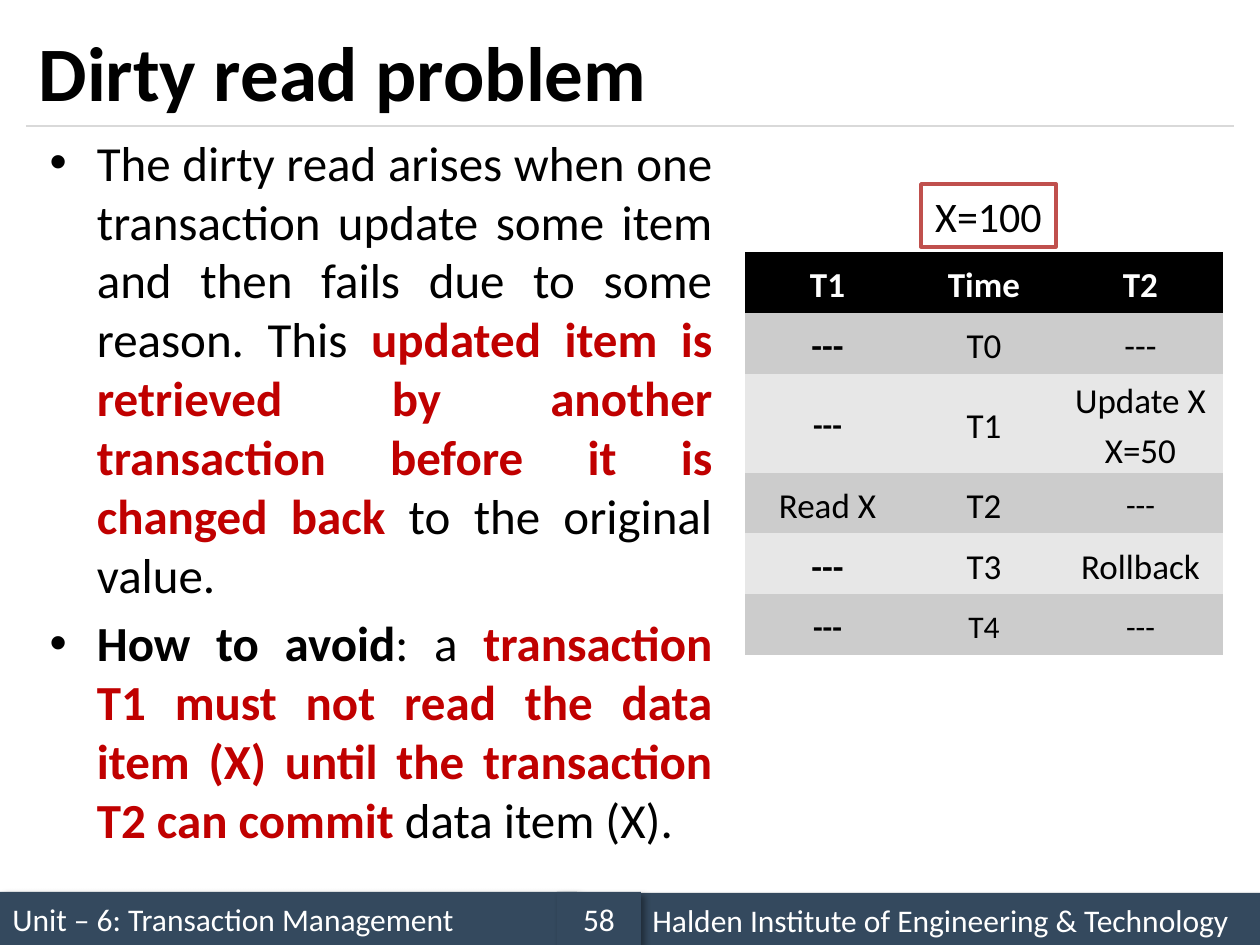
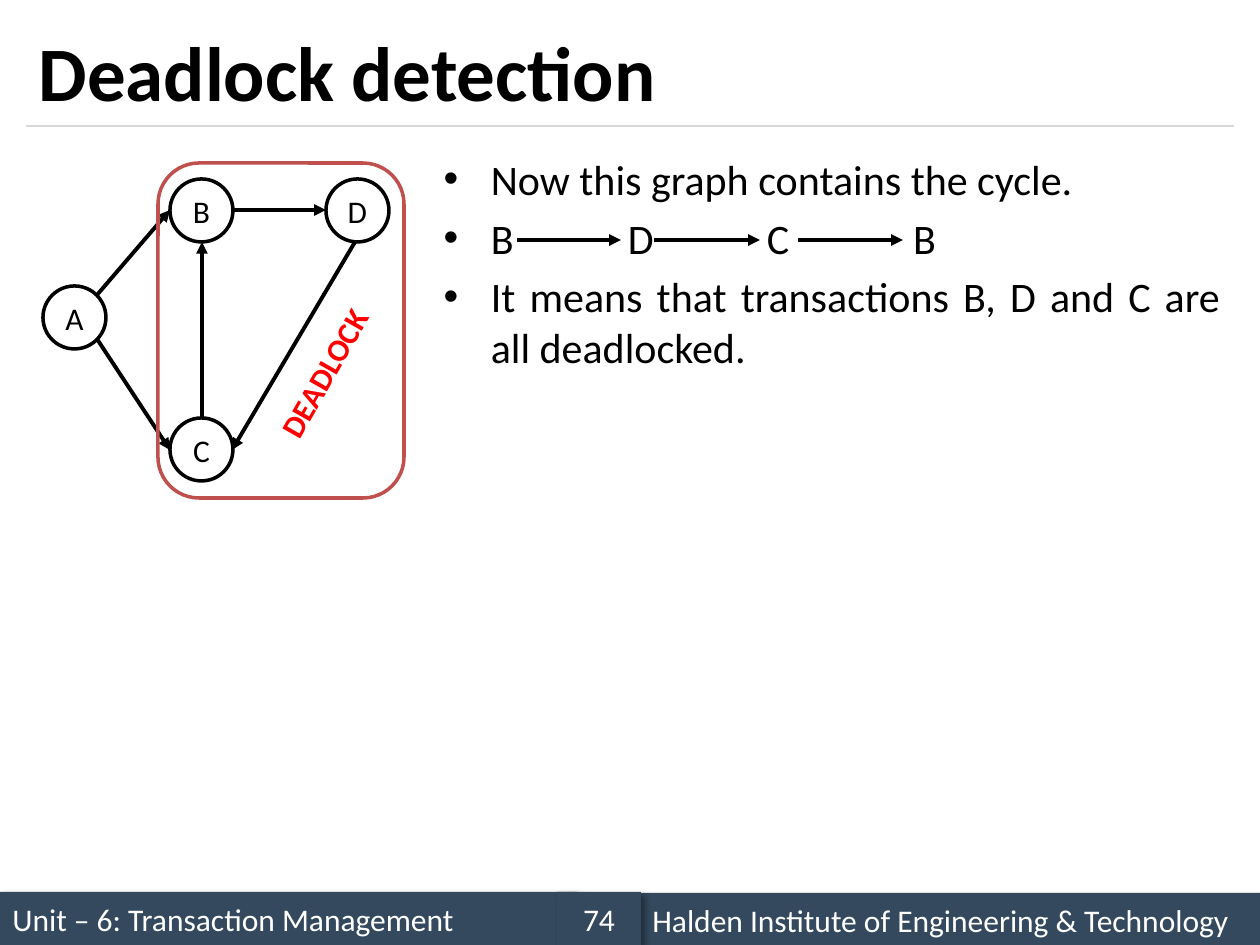
from lxml import etree
from pptx import Presentation
from pptx.dml.color import RGBColor
from pptx.enum.shapes import MSO_CONNECTOR, MSO_SHAPE
from pptx.enum.text import MSO_ANCHOR, MSO_AUTO_SIZE, PP_ALIGN
from pptx.oxml import parse_xml
from pptx.oxml.ns import nsdecls, qn
from pptx.util import Pt

RECT, ROUND, OVAL = MSO_SHAPE.RECTANGLE, MSO_SHAPE.ROUNDED_RECTANGLE, MSO_SHAPE.OVAL
LEFT, MID, JUST = PP_ALIGN.LEFT, PP_ALIGN.CENTER, PP_ALIGN.JUSTIFY
CENTRE = MSO_ANCHOR.MIDDLE

BLACK = RGBColor(0x00, 0x00, 0x00)
WHITE = RGBColor(0xFF, 0xFF, 0xFF)
SLATE = RGBColor(0x34, 0x49, 0x5E)
RULE = RGBColor(0xD9, 0xD9, 0xD9)
CRIMSON = RGBColor(0xC0, 0x00, 0x00)
BRICK = RGBColor(0xC0, 0x50, 0x4D)
RED = RGBColor(0xFF, 0x00, 0x00)
DARK = RGBColor(0xCC, 0xCC, 0xCC)
PALE = RGBColor(0xE7, 0xE7, 0xE7)

PX = 914400 // 126
PLAIN = {"name": "Calibri", "size": Pt(18), "bold": False}
NO_GRID = "{2D5ABB26-0587-4C30-8999-92F81FD0307C}"
SHADOW = (f'<a:effectLst {nsdecls("a")}><a:outerShdw blurRad="50800" dist="38100" '
          'dir="2700000" algn="tl" rotWithShape="0"><a:srgbClr val="000000">'
          '<a:alpha val="40000"/></a:srgbClr></a:outerShdw></a:effectLst>')


def write(par, words, color=BLACK, align=None, **look):
    """Add one formatted run to a paragraph."""
    if align is not None:
        par.alignment = align
    run = par.add_run()
    run.text = words
    run.font.color.rgb = color
    for key, value in {**PLAIN, **look}.items():
        setattr(run.font, key, value)


def box(slide, kind, at, fill=None, edge=None):
    """Add a preset shape, or a text box when kind is None."""
    at = [n * PX for n in at]
    if kind is None:
        shape = slide.shapes.add_textbox(*at)
    else:
        shape = slide.shapes.add_shape(kind, *at)
        shape.shadow.inherit = False
    if fill is None:
        shape.fill.background()
    else:
        shape.fill.solid()
        shape.fill.fore_color.rgb = fill
    if edge is None:
        shape.line.fill.background()
    else:
        shape.line.color.rgb = edge
        shape.line.width = Pt(2)
    shape.text_frame.vertical_anchor = CENTRE
    return shape


deck = Presentation()
deck.slide_width, deck.slide_height = 1260 * PX, 945 * PX

# Title, page number, body place, body size, list items as (words, stressed, color)
PAGES = [
    ("Dirty read problem", "58", (37, 126, 688, 766), 28, [
        [("The dirty read arises when one transaction update some item and then "
          "fails due to some reason. This ", False, BLACK),
         ("updated item is retrieved by another transaction before it is "
          "changed back", True, CRIMSON),
         (" to the original value.", False, BLACK)],
        [("How to avoid", True, BLACK), (": a ", False, BLACK),
         ("transaction T1 must not read the data item (X) until the "
          "transaction T2 can commit", True, CRIMSON),
         (" data item (X).", False, BLACK)]]),
    ("Deadlock detection", "74", (431, 147, 802, 697), 24, [
        [("Now this graph contains the cycle.", False, BLACK)],
        [("B", False, BLACK)],
        [("It means that transactions B, D and C are all deadlocked.",
          False, BLACK)]]),
]
lines = []  # slide, ends, color, points, arrowhead

# Shared frame: title, list, footer bands, rule
for head, page, place, size, items in PAGES:
    slide = deck.slides.add_slide(deck.slide_layouts[1])
    title, body = slide.placeholders
    for holder, at in ((title, (26, 15, 1207, 111)), (body, place)):
        holder.left, holder.top, holder.width, holder.height = [n * PX for n in at]
        holder.text_frame.auto_size = MSO_AUTO_SIZE.NONE
    write(title.text_frame.paragraphs[0], head, align=LEFT, size=Pt(44), bold=True)
    for i, item in enumerate(items):
        frame = body.text_frame
        par = frame.add_paragraph() if i else frame.paragraphs[0]
        for words, bold, color in item:
            write(par, words, color, JUST, size=Pt(size), bold=bold)

    for at, words, align in (
            ((0, 892, 577, 53), "Unit – 6: Transaction Management", LEFT),
            ((640, 893, 620, 53), "Halden Institute of Engineering & Technology", LEFT),
            ((557, 892, 84, 53), page, MID)):
        band = box(slide, RECT, at, SLATE)
        props = band._element.spPr
        props.replace(props.find(qn("a:effectLst")), parse_xml(SHADOW))
        write(band.text_frame.paragraphs[0], words, WHITE, align)
    lines.append((slide, (26, 126, 1234, 126), RULE, 0.75, False))

dirty, dead = deck.slides

# Dirty read: start value
start = box(dirty, RECT, (921, 184, 135, 63), WHITE, BRICK)
start.text_frame.word_wrap = False
write(start.text_frame.paragraphs[0], "X=100", align=MID, size=Pt(24))

# Dirty read: schedule
ROWS = [("T1", "Time", "T2"), ("---", "T0", "---"), ("---", "T1", "Update X\nX=50"),
        ("Read X", "T2", "---"), ("---", "T3", "Rollback"), ("---", "T4", "---")]
SMALL = {(2, 0), (3, 2), (5, 0), (5, 1), (5, 2)}
WIDE = (165, 148, 165)
grid = dirty.shapes.add_table(6, 3, 745 * PX, 252 * PX, sum(WIDE) * PX, 366 * PX).table
grid.first_row = grid.horz_banding = False
grid._tbl.find(".//" + qn("a:tableStyleId")).text = NO_GRID
for col, wide in zip(grid.columns, WIDE):
    col.width = wide * PX
for r, row in enumerate(ROWS):
    grid.rows[r].height = 61 * PX
    for c, words in enumerate(row):
        cell = grid.cell(r, c)
        cell.fill.solid()
        cell.fill.fore_color.rgb = BLACK if r == 0 else DARK if r % 2 else PALE
        cell.vertical_anchor = CENTRE
        cell.margin_left = cell.margin_right = 14 * PX
        cell.margin_top = cell.margin_bottom = 0
        for i, part in enumerate(words.split("\n")):
            frame = cell.text_frame
            par = frame.add_paragraph() if i else frame.paragraphs[0]
            par.line_spacing = 1.15
            write(par, part, BLACK if r else WHITE, MID,
                  size=Pt(18 if (r, c) in SMALL else 20),
                  bold=r == 0 or (c == 0 and part == "---"))

# Deadlock: graph nodes
for name, x, y in (("B", 170, 179), ("A", 43, 286), ("D", 326, 179), ("C", 170, 418)):
    node = box(dead, OVAL, (x, y, 63, 63), WHITE, BLACK)
    node.text_frame.word_wrap = False
    write(node.text_frame.paragraphs[0], name, align=MID)

# Deadlock: the cycle spelled out beside the first B
for name, x in (("D", 628), ("C", 767), ("B", 913)):
    step = box(dead, None, (x, 212, 30, 51))
    frame = step.text_frame
    frame.margin_left = frame.margin_right = frame.margin_top = frame.margin_bottom = 0
    frame.word_wrap = False
    write(frame.paragraphs[0], name, align=LEFT, size=Pt(24))

# Rules and arrows
for ends in ((97, 295, 170, 210), (233, 210, 326, 210), (202, 418, 202, 242),
             (97, 339, 170, 450), (355, 242, 232, 450),
             (517, 240, 621, 240), (654, 240, 760, 240), (798, 240, 903, 240)):
    lines.append((dead, ends, BLACK, 2.25, True))
for slide, ends, color, points, head in lines:
    link = slide.shapes.add_connector(MSO_CONNECTOR.STRAIGHT, *[n * PX for n in ends])
    link.line.color.rgb = color
    link.line.width = Pt(points)
    if head:
        etree.SubElement(link.line._get_or_add_ln(), qn("a:tailEnd"), type="triangle")
    etree.SubElement(link._element.spPr, qn("a:effectLst"))

# Deadlock: outline of the cycle and its label
box(dead, ROUND, (158, 163, 246, 335), edge=BRICK)
label = box(dead, None, (237, 348, 173, 50))
label.rotation = 299.7
label.text_frame.word_wrap = True
write(label.text_frame.paragraphs[0], "DEADLOCK", RED, MID, bold=True)

deck.save("out.pptx")
